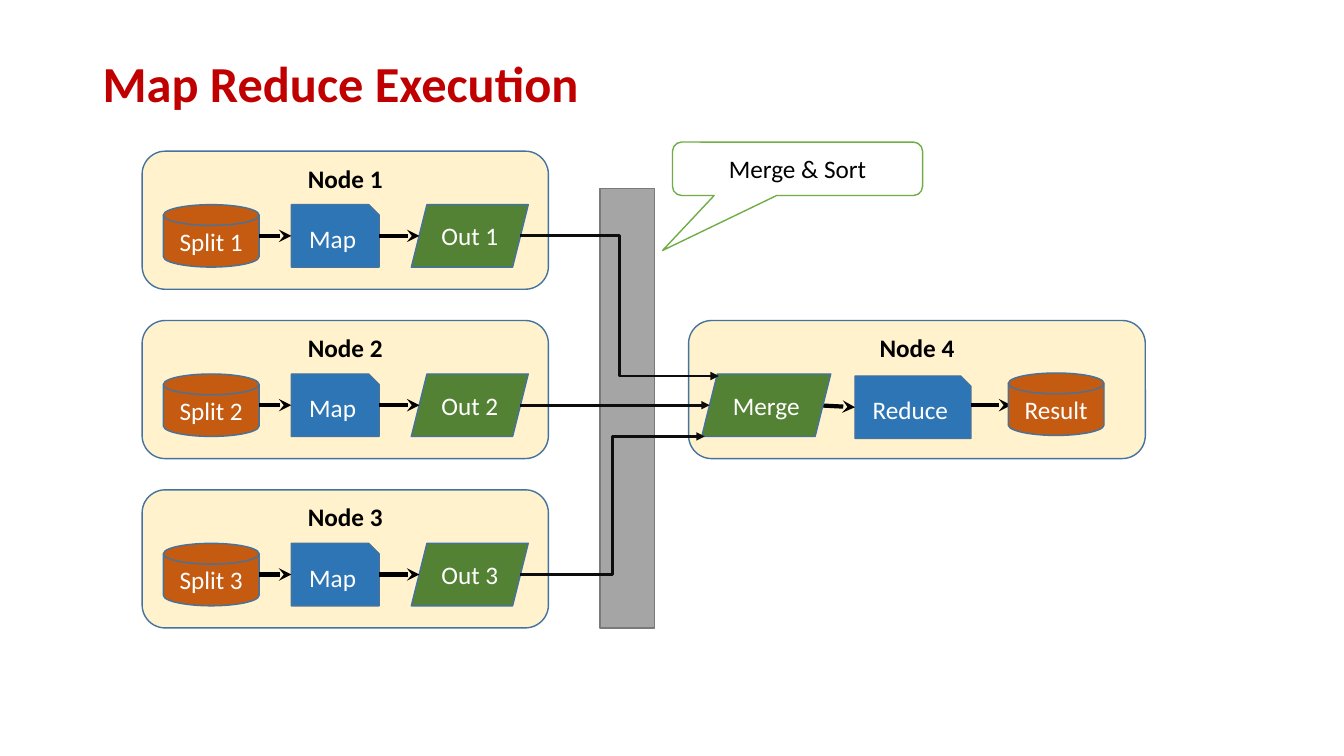
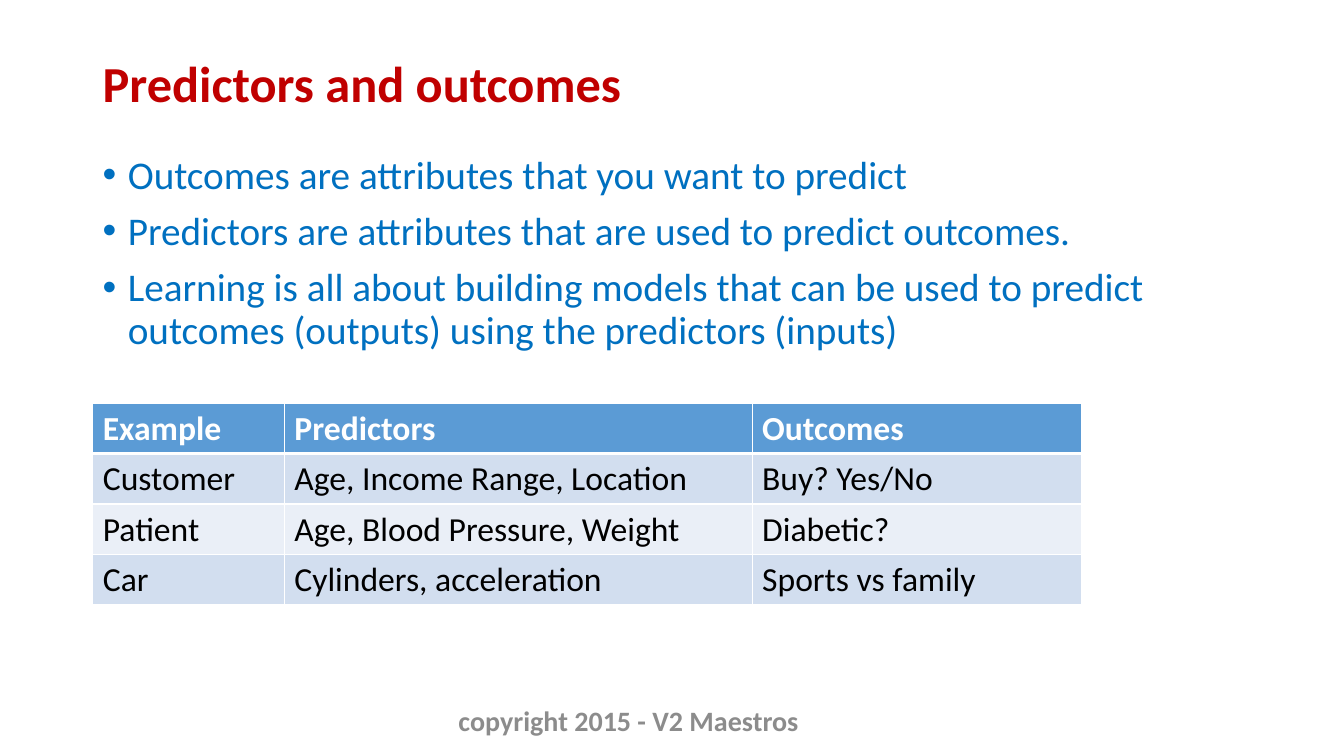
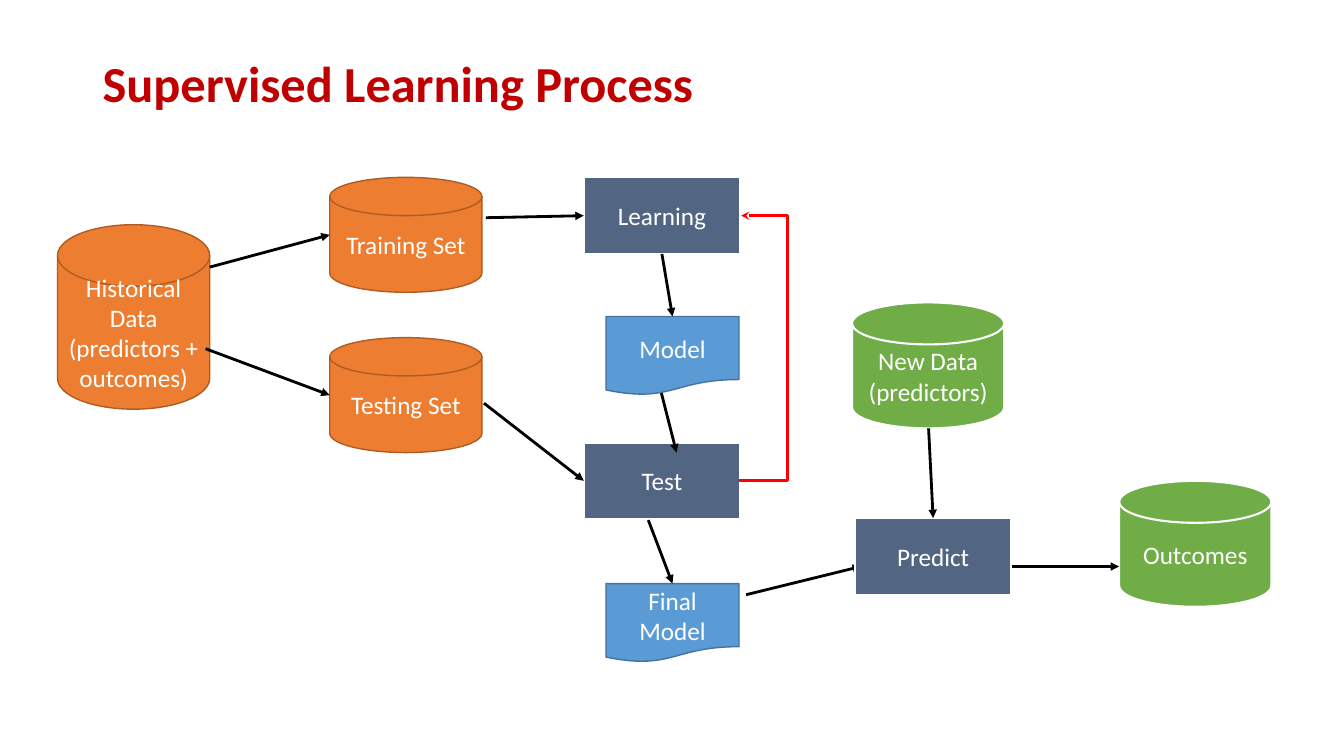
"""Build three slides on map-reduce execution and supervised learning."""
from dataclasses import dataclass

from lxml import etree
from pptx import Presentation
from pptx import util as u
from pptx.dml import color
from pptx.enum import shapes, text
from pptx.oxml import ns

SHAPE = shapes.MSO_SHAPE
CONNECTOR = shapes.MSO_CONNECTOR
ANCHOR = text.MSO_ANCHOR
ALIGN = text.PP_ALIGN
TOP, LEFT = 0, 1
BOTTOM = 2


@dataclass(frozen=True)
class Theme:
    font: str = "Calibri"
    title_size: int = 36
    body_size: int = 28
    table_size: int = 24
    footer_size: int = 20
    label_size: int = 18
    title: str = "C00000"
    body: str = "0070C0"
    footer: str = "8C8C8C"
    white: str = "FFFFFF"
    black: str = "000000"
    flow: str = "0D0D0D"
    feedback: str = "FF0000"
    header: str = "5B9BD5"
    bands: tuple = ("D2DEEF", "EAEFF7")
    barrier: tuple = ("A5A5A5", "7A7A7A", 1)
    node: tuple = ("FFF2CC", "43739E", 1)
    store: tuple = ("C55A11", "43739E", 1)
    task: tuple = ("2E75B6", "43739E", 1)
    output: tuple = ("548235", "43739E", 1)
    callout: tuple = ("FFFFFF", "70AD47", 1)
    history: tuple = ("ED7D31", "AF5C24", 1)
    process: tuple = ("526582", "FFFFFF", 1.5)
    document: tuple = ("5B9BD5", "43739E", 1)
    new_data: tuple = ("70AD47", "FFFFFF", 1.5)


def rgb(value):
    return color.RGBColor.from_string(value)


def add_xml(parent, tag, **attributes):
    return etree.SubElement(parent, ns.qn(tag), attributes)


class Deck:
    def __init__(self, theme):
        self.theme = theme
        self.presentation = Presentation()
        self.presentation.slide_width = u.Inches(13.33)
        self.presentation.slide_height = u.Inches(7.5)
        self.slide = None

    def new_slide(self):
        layout = self.presentation.slide_layouts[6]
        self.slide = self.presentation.slides.add_slide(layout)

    def style(self, paragraph, size, ink, bold=False):
        font = paragraph.font
        font.name, font.size, font.bold = self.theme.font, u.Pt(size), bold
        font.color.rgb = rgb(ink)

    def text_box(self, box, anchor):
        frame = self.slide.shapes.add_textbox(*map(u.Inches, box)).text_frame
        frame.word_wrap = True
        frame.vertical_anchor = anchor
        return frame

    def title(self, words):
        paragraph = self.text_box((0.92, 0.4, 11.5, 0.91), ANCHOR.MIDDLE).paragraphs[0]
        paragraph.text = words
        paragraph.line_spacing = 0.9
        self.style(paragraph, self.theme.title_size, self.theme.title, True)

    def footer(self, words):
        paragraph = self.text_box((2.57, 6.95, 7.33, 0.4), ANCHOR.MIDDLE).paragraphs[0]
        paragraph.text = words
        paragraph.alignment = ALIGN.CENTER
        self.style(paragraph, self.theme.footer_size, self.theme.footer, True)

    def bullets(self, box, items):
        frame = self.text_box(box, ANCHOR.TOP)
        for index, item in enumerate(items):
            paragraph = frame.add_paragraph() if index else frame.paragraphs[0]
            paragraph.text = item
            properties = paragraph._p.get_or_add_pPr()
            properties.set("marL", str(u.Inches(0.25)))
            properties.set("indent", str(-u.Inches(0.25)))
            add_xml(properties, "a:buFont", typeface="Arial")
            add_xml(properties, "a:buChar", char="•")
            paragraph.line_spacing = 0.9
            if index:
                paragraph.space_before = u.Pt(10)
            self.style(paragraph, self.theme.body_size, self.theme.body)

    def shape(self, kind, box, look, words="", ink=None, bold=False, anchor=ANCHOR.MIDDLE):
        fill, line, width = look
        shape = self.slide.shapes.add_shape(kind, *map(u.Inches, box))
        shape.shadow.inherit = False
        shape.fill.solid()
        shape.fill.fore_color.rgb = rgb(fill)
        shape.line.color.rgb = rgb(line)
        shape.line.width = u.Pt(width)
        if words:
            shape.text_frame.vertical_anchor = anchor
            paragraph = shape.text_frame.paragraphs[0]
            paragraph.text = words
            paragraph.alignment = ALIGN.CENTER
            self.style(paragraph, self.theme.label_size, ink or self.theme.white, bold)
        return shape

    def node(self, box, words):
        self.shape(SHAPE.ROUNDED_RECTANGLE, box, self.theme.node, words,
                   self.theme.black, True, ANCHOR.TOP)

    def arrow(self, start, end, width=2, head="triangle", ink=None,
              kind=CONNECTOR.STRAIGHT, via=None):
        joined = [not isinstance(place[0], (int, float)) for place in (start, end)]
        points = [(0, 0) if join else place for join, place in zip(joined, (start, end))]
        connector = self.slide.shapes.add_connector(
            kind, *(u.Inches(value) for point in points for value in point))
        if joined[0]:
            connector.begin_connect(*start)
        if joined[1]:
            connector.end_connect(*end)
        connector.line.color.rgb = rgb(ink or self.theme.black)
        connector.line.width = u.Pt(width)
        properties = connector.element.spPr
        add_xml(properties.find(ns.qn("a:ln")), "a:tailEnd", type=head)
        add_xml(properties, "a:effectLst")
        if via:
            ratio = (via - start[0]) / (end[0] - start[0])
            guides = properties.find(ns.qn("a:prstGeom")).get_or_add_avLst()
            add_xml(guides, "a:gd", name="adj1", fmla=f"val {round(ratio * 100000)}")

    def cell(self, cell, words, fill, ink, bold, top, bottom):
        cell.text = words
        self.style(cell.text_frame.paragraphs[0], self.theme.table_size, ink, bold)
        properties = cell._tc.get_or_add_tcPr()
        for side, width in zip("LRTB", (1, 1, top, bottom)):
            border = add_xml(properties, f"a:ln{side}", w=str(u.Pt(width)))
            add_xml(add_xml(border, "a:solidFill"), "a:srgbClr", val=self.theme.white)
        cell.fill.solid()
        cell.fill.fore_color.rgb = rgb(fill)

    def table(self, left, top, widths, row_height, rows):
        box = (left, top, sum(widths), row_height * len(rows))
        table = self.slide.shapes.add_table(
            len(rows), len(widths), *map(u.Inches, box)).table
        for column, width in zip(table.columns, widths):
            column.width = u.Inches(width)
        for index, row in enumerate(rows):
            header = index == 0
            fill = self.theme.header if header else self.theme.bands[(index - 1) % 2]
            ink = self.theme.white if header else self.theme.black
            for column, words in enumerate(row):
                self.cell(table.cell(index, column), words, fill, ink, header,
                          3 if index == 1 else 1, 3 if header else 1)


def map_reduce(deck):
    theme = deck.theme
    deck.new_slide()
    deck.shape(SHAPE.RECTANGLE, (5.95, 1.87, 0.54, 4.36), theme.barrier)
    deck.title("Map Reduce Execution")
    first_top, pitch, inset, height = 1.5, 1.68, 0.53, 0.62
    middles = []
    for number in range(1, 4):
        top = first_top + pitch * (number - 1)
        part = top + inset
        middle = part + height / 2
        middles.append(middle)
        deck.node((1.41, top, 4.03, 1.37), f"Node {number}")
        deck.shape(SHAPE.FLOWCHART_MAGNETIC_DISK, (1.62, part, 0.95, height),
                   theme.store, f"Split {number}")
        deck.shape(SHAPE.SNIP_1_RECTANGLE, (2.89, part, 0.87, height), theme.task, "Map")
        deck.shape(SHAPE.PARALLELOGRAM, (4.08, part, 1.16, height),
                   theme.output, f"Out {number}")
        for start, end in ((2.57, 2.89), (3.76, 4.16)):
            deck.arrow((start, middle), (end, middle), 3, "stealth")

    row = first_top + pitch
    deck.node((6.83, row, 4.53, 1.37), "Node 4")
    deck.shape(SHAPE.SNIP_1_RECTANGLE, (8.48, 3.73, 1.15, height), theme.task, "Reduce")
    deck.arrow((8.09, 4.02), (8.48, 4.04), 3, "stealth")
    deck.arrow((9.63, 4.02), (10.03, 4.02), 3, "stealth")
    deck.shape(SHAPE.PARALLELOGRAM, (6.96, row + inset, 1.28, height),
               theme.output, "Merge")
    deck.shape(SHAPE.FLOWCHART_MAGNETIC_DISK, (10, 3.7, 0.95, height),
               theme.store, "Result")
    for middle, end in zip(middles, ((7.13, 3.73), (7.04, middles[1]), (6.99, 4.33))):
        deck.arrow((5.16, middle), end, ink=theme.flow, kind=CONNECTOR.ELBOW)
    callout = deck.shape(SHAPE.ROUNDED_RECTANGULAR_CALLOUT, (6.67, 1.41, 2.48, 0.53),
                         theme.callout, "Merge & Sort", theme.black)
    for index, value in enumerate((-0.54, 1.53, 0.17)):
        callout.adjustments[index] = value


def predictors(deck):
    deck.new_slide()
    deck.title("Predictors and outcomes")
    deck.bullets((0.92, 1.49, 11.5, 5.27), (
        "Outcomes are attributes that you want to predict",
        "Predictors are attributes that are used to predict outcomes.",
        "Learning is all about building models that can be used to predict "
        "outcomes (outputs) using the predictors (inputs)",
    ))
    deck.table(0.92, 4, (1.9, 4.64, 3.27), 0.5, (
        ("Example", "Predictors", "Outcomes"),
        ("Customer", "Age, Income Range, Location", "Buy? Yes/No"),
        ("Patient", "Age, Blood Pressure, Weight", "Diabetic?"),
        ("Car", "Cylinders, acceleration", "Sports vs family"),
    ))
    deck.footer("copyright 2015 - V2 Maestros")


def supervised_learning(deck):
    theme = deck.theme

    def disk(left, top, height, look, words):
        deck.shape(SHAPE.FLOWCHART_MAGNETIC_DISK, (left, top, 1.51, height), look, words)

    def process(left, top, words):
        return deck.shape(SHAPE.FLOWCHART_PROCESS, (left, top, 1.55, 0.76),
                          theme.process, words)

    def document(top, words):
        return deck.shape(SHAPE.FLOWCHART_DOCUMENT, (6.01, top, 1.32, 0.78),
                          theme.document, words)

    deck.new_slide()
    deck.title("Supervised Learning Process")
    disk(0.57, 2.23, 1.83, theme.history, "Historical Data (predictors + outcomes)")
    disk(3.27, 1.76, 1.14, theme.history, "Training Set")
    disk(3.27, 3.35, 1.14, theme.history, "Testing Set")
    learning = process(5.79, 1.76, "Learning")
    test = process(5.79, 4.39, "Test")
    model = document(3.14, "Model")
    final_model = document(5.79, "Final Model")
    disk(8.45, 3, 1.25, theme.new_data, "New Data (predictors)")
    disk(11.1, 4.77, 1.25, theme.new_data, "Outcomes")
    for start, end in (
        ((2.08, 2.65), (3.27, 2.33)),
        ((2.04, 3.46), (3.27, 3.92)),
        ((4.82, 2.16), (learning, LEFT)),
        ((learning, BOTTOM), (model, TOP)),
        ((4.8, 4), (test, LEFT)),
        ((6.56, 3.9), (6.71, 4.49)),
        ((6.43, 5.16), (final_model, TOP)),
        ((7.4, 5.9), (8.54, 5.62)),
    ):
        deck.arrow(start, end)
    predict = process(8.48, 5.14, "Predict")
    deck.arrow((9.21, 4.25), (predict, TOP))
    deck.arrow((10.04, 5.62), (11.1, 5.62))
    deck.arrow((7.33, 4.77), (7.35, 2.14), head="stealth", ink=theme.feedback,
               kind=CONNECTOR.ELBOW, via=7.81)


def main():
    deck = Deck(Theme())
    map_reduce(deck)
    predictors(deck)
    supervised_learning(deck)
    deck.presentation.save("out.pptx")


if __name__ == "__main__":
    main()
